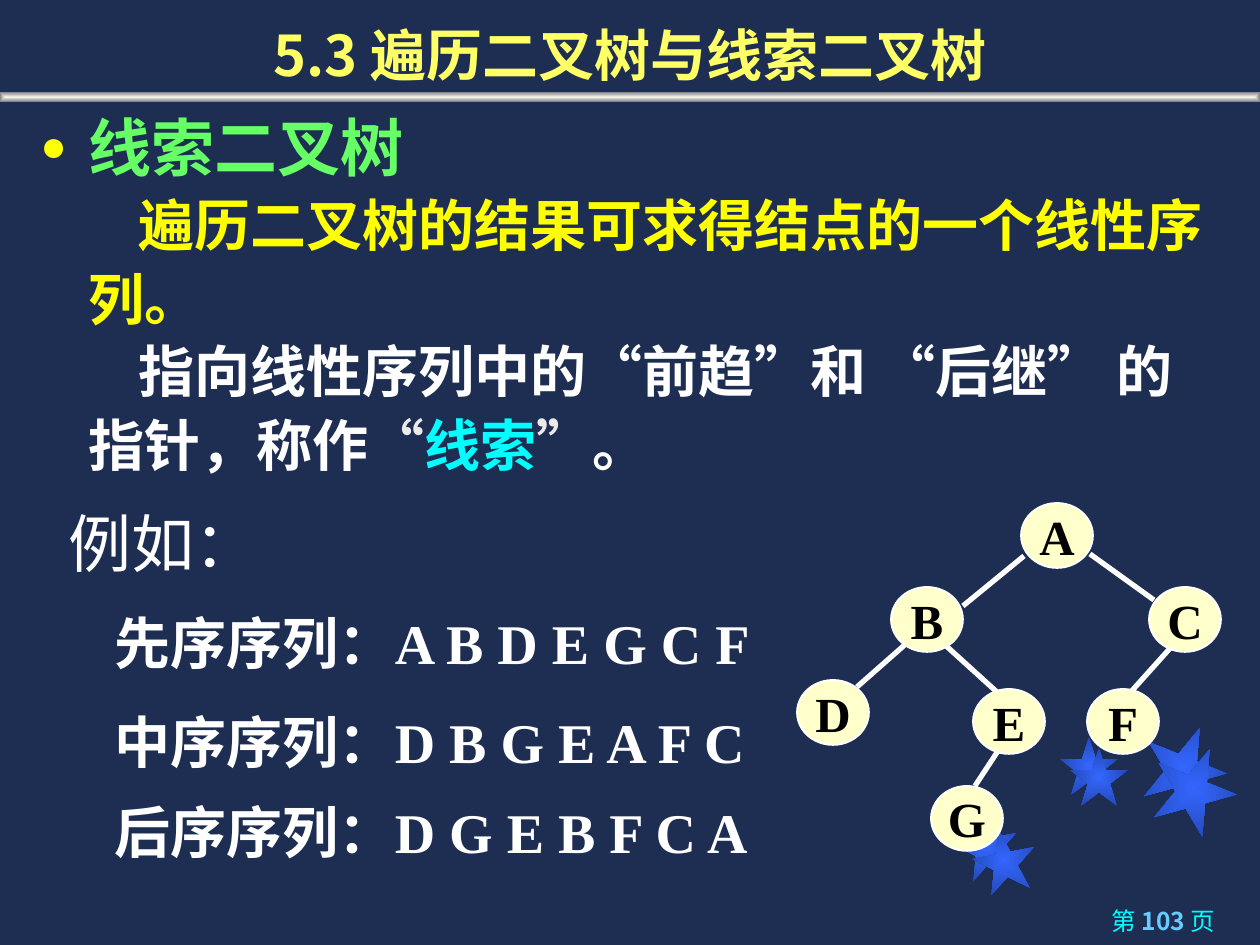
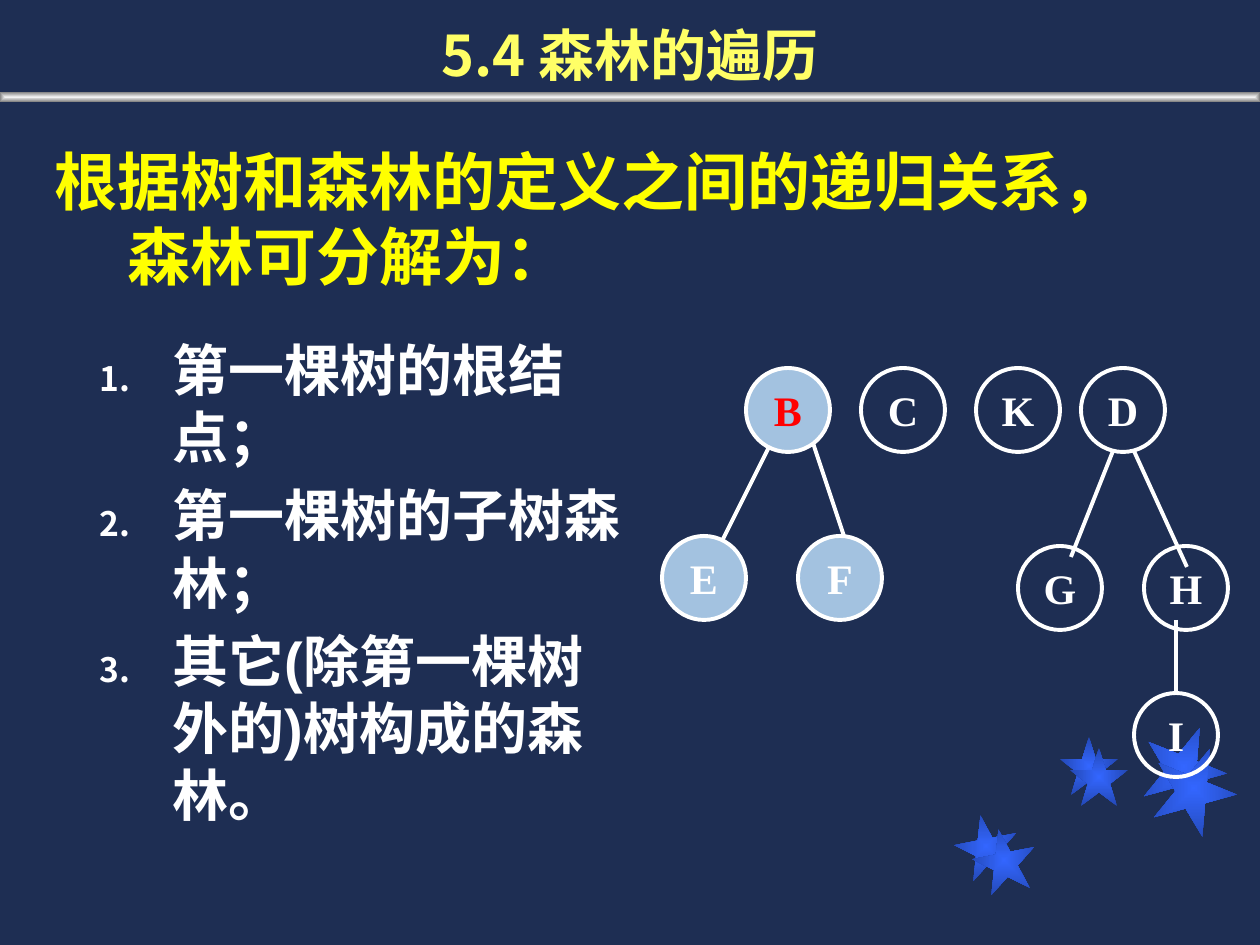
from lxml import etree
from pptx import Presentation
from pptx import util as u
from pptx.dml.color import RGBColor
from pptx.enum import shapes, text
from pptx.oxml import parse_xml
from pptx.oxml.ns import qn

SCALE = 914400 // 126
WIDTH, HEIGHT = 1260, 945
SANS, ARIAL, SERIF = "Noto Sans CJK SC", "Arial", "Times New Roman"
NAVY, WHITE, YELLOW, TITLE, CYAN = "1E2E53", "FFFFFF", "FFFF00", "FFFF66", "00FFFF"
GREEN, SKY, PALE, CREAM, STEEL = "66FF66", "66CCFF", "EAEAEA", "FFFFCC", "A3C2E0"
RED, BLACK = "FF0000", "000000"
STAR_FILL, BAND_FILL = ("3366FF", "2449B6"), ("F2F2F2", "808080")
NAMESPACE = "http://schemas.openxmlformats.org/drawingml/2006/main"

STARS = [(955, 815, 63, 349), (1060, 737, 58, 0), (1142, 725, 84, 22),
         (973, 829, 63, 349), (1070, 748, 58, 0), (1152, 746, 84, 22)]
BAND = (0, 92, WIDTH, 10)

HEADING = dict(size=36, font=ARIAL, color=GREEN, bold=True)
BODY = dict(size=32, font=ARIAL, color=WHITE, bold=True)
SEQUENCE = dict(size=32, font=SERIF, color=WHITE, bold=True)
PAGE = dict(size=14, font=SANS, color=CYAN, bold=False)
DOT = ("buChar", {"char": "●"}, YELLOW, 70000, ARIAL)
NUMBER = ("buAutoNum", {"type": "arabicPeriod"}, WHITE, 60000, SANS)

THREAD_BODY = [
    dict(spans=[("线索二叉树", HEADING)], left=48, indent=-48, spacing=1.1, bullet=DOT),
    dict(spans=[("遍历二叉树的结果可求得结点的一个线性序列。", BODY | {"color": YELLOW})],
         left=48, indent=50, spacing=1.1)]
THREAD_NOTE = [dict(left=48, indent=50, spacing=1.1, spans=[
    ("指向线性序列中的“前趋”和 “后继” 的指针，称作", BODY),
    ("“", BODY | {"color": PALE}), ("线索", BODY | {"color": CYAN}),
    ("”", BODY | {"color": PALE}), ("。", BODY)])]
EXAMPLE = [dict(spans=[("例如：", dict(size=36, font=SANS, color=WHITE, bold=False))])]
SEQUENCES = [(602, "先序序列：A B D E G C F"), (701, "中序序列：D B G E A F C"),
             (791, "后序序列：D G E B F C A")]
PAGE_NUMBER = [dict(align=text.PP_ALIGN.RIGHT, spans=[
    ("第 ", PAGE), ("103 ", PAGE | {"color": SKY, "bold": True}), ("页", PAGE)])]

FOREST_INTRO = [dict(left=73, indent=-73, spans=[
    ("根据树和森林的定义之间的递归关系，森林可分解为：",
     dict(size=36, font=SERIF, color=YELLOW, bold=True))])]
FOREST_PARTS = ["第一棵树的根结点；", "第一棵树的子树森林；", "其它(除第一棵树外的)树构成的森林。"]

BINARY_TREE = dict(
    size=(72, 65), line=1, edge=3, before=6, font=dict(size=28, font=SERIF, bold=True),
    nodes=[("A", 1021, 503, CREAM, BLACK), ("B", 891, 587, CREAM, BLACK),
           ("C", 1149, 587, CREAM, BLACK), ("D", 797, 680, CREAM, BLACK),
           ("E", 973, 689, CREAM, BLACK), ("F", 1087, 689, CREAM, BLACK),
           ("G", 931, 786, CREAM, BLACK)],
    edges=[(1024, 556, 963, 606), (1090, 554, 1154, 600), (944, 644, 998, 693),
           (1174, 644, 1130, 693), (907, 643, 857, 687), (998, 751, 975, 786)])
FOREST = dict(
    size=(84, 84), line=2.25, edge=2.25, before=3, font=dict(size=24, font=SERIF, bold=True),
    nodes=[("B", 746, 368, STEEL, RED), ("C", 861, 368, None, WHITE),
           ("K", 976, 368, None, WHITE), ("D", 1081, 368, None, WHITE),
           ("E", 662, 536, STEEL, WHITE), ("F", 798, 536, STEEL, WHITE),
           ("G", 1018, 546, None, WHITE), ("H", 1144, 546, None, WHITE),
           ("I", 1134, 693, None, WHITE)],
    edges=[(777, 431, 714, 557), (809, 431, 851, 557), (1113, 451, 1071, 557),
           (1134, 451, 1187, 567), (1176, 620, 1176, 693)])


def px(*values):
    return [u.Emu(round(value * SCALE)) for value in values]


def rgb(color):
    return RGBColor.from_string(color)


def apply(target, **values):
    for name, value in values.items():
        setattr(target, name, value)


def add_span(para, words, size, font, color, bold):
    span = para.add_run()
    span.text = words
    apply(span.font, size=u.Pt(size), name=font, bold=bold)
    span.font.color.rgb = rgb(color)
    east = etree.SubElement(span._r.get_or_add_rPr(), qn("a:ea"))
    east.set("typeface", SANS)


def add_bullet(properties, kind, values, color, percent, font):
    tint = etree.SubElement(properties, qn("a:buClr"))
    etree.SubElement(tint, qn("a:srgbClr")).set("val", color)
    etree.SubElement(properties, qn("a:buSzPct")).set("val", str(percent))
    etree.SubElement(properties, qn("a:buFont")).set("typeface", font)
    etree.SubElement(properties, qn("a:" + kind), values)


def add_text(page, place, paras, wrap=True, anchor=text.MSO_ANCHOR.TOP):
    frame = page.shapes.add_textbox(*px(*place)).text_frame
    apply(frame, word_wrap=wrap, vertical_anchor=anchor)
    for index, item in enumerate(paras):
        para = frame.add_paragraph() if index else frame.paragraphs[0]
        size = item["spans"][0][1]["size"]
        apply(para, alignment=item.get("align", text.PP_ALIGN.LEFT),
              line_spacing=u.Pt(round(size * 1.2 * item.get("spacing", 1), 1)),
              space_before=u.Pt(item.get("before", 0) if index else 0))
        properties = para._p.get_or_add_pPr()
        properties.set("hangingPunct", "0")
        for name, key in (("marL", "left"), ("indent", "indent")):
            properties.set(name, str(px(item.get(key, 0))[0]))
        if "bullet" in item:
            add_bullet(properties, *item["bullet"])
        for words, style in item["spans"]:
            add_span(para, words, **style)


def add_glow(page, kind, place, colors, rotation=0):
    shape = page.shapes.add_shape(kind, *px(*place))
    shape.shadow.inherit = False
    shape.rotation = rotation
    shape.line.fill.background()
    shape.fill.background()
    stops = "".join(f'<a:gs pos="{pos}"><a:srgbClr val="{color}"/></a:gs>'
                    for pos, color in zip((0, 100000), colors))
    properties = shape._element.spPr
    properties.replace(properties.find(qn("a:noFill")), parse_xml(
        f'<a:gradFill xmlns:a="{NAMESPACE}" rotWithShape="1"><a:gsLst>{stops}</a:gsLst>'
        '<a:path path="shape"><a:fillToRect l="50000" t="50000" r="50000" b="50000"/>'
        '</a:path></a:gradFill>'))


def add_page(deck, title):
    page = deck.slides.add_slide(deck.slide_layouts[6])
    page.background.fill.solid()
    page.background.fill.fore_color.rgb = rgb(NAVY)
    for left, top, size, rotation in STARS:
        add_glow(page, shapes.MSO_SHAPE.STAR_5_POINT, (left, top, size, size),
                 STAR_FILL, rotation)
    add_glow(page, shapes.MSO_SHAPE.RECTANGLE, BAND, BAND_FILL)
    style = dict(size=32, font=SANS, color=TITLE, bold=True)
    add_text(page, (0, 0, WIDTH, 94), [dict(spans=[(title, style)], align=text.PP_ALIGN.CENTER)],
             anchor=text.MSO_ANCHOR.BOTTOM)
    return page


def add_tree(page, tree):
    for edge in tree["edges"]:
        line = page.shapes.add_connector(shapes.MSO_CONNECTOR.STRAIGHT, *px(*edge))
        line.line.color.rgb = rgb(WHITE)
        line.line.width = u.Pt(tree["edge"])
        etree.SubElement(line._element.spPr, qn("a:effectLst"))
    for name, left, top, fill, color in tree["nodes"]:
        node = page.shapes.add_shape(shapes.MSO_SHAPE.OVAL, *px(left, top, *tree["size"]))
        node.shadow.inherit = False
        if fill:
            node.fill.solid()
            node.fill.fore_color.rgb = rgb(fill)
        else:
            node.fill.background()
        node.line.color.rgb = rgb(WHITE)
        node.line.width = u.Pt(tree["line"])
        apply(node.text_frame, word_wrap=False, vertical_anchor=text.MSO_ANCHOR.MIDDLE,
              margin_left=0, margin_right=0, margin_top=0, margin_bottom=0)
        para = node.text_frame.paragraphs[0]
        apply(para, alignment=text.PP_ALIGN.CENTER, space_before=u.Pt(tree["before"]))
        add_span(para, name, color=color, **tree["font"])


deck = Presentation()
deck.slide_width, deck.slide_height = px(WIDTH, HEIGHT)

threads = add_page(deck, "5.3 遍历二叉树与线索二叉树")
add_text(threads, (897, 900, 331, 45), PAGE_NUMBER)
add_text(threads, (28, 95, 1198, 255), THREAD_BODY)
add_text(threads, (28, 324, 1198, 174), THREAD_NOTE)
add_text(threads, (56, 498, 214, 88), EXAMPLE, wrap=False)
for top, words in SEQUENCES:
    add_text(threads, (63, top, 800, 79), [dict(spans=[(words, SEQUENCE)], indent=39)])
add_tree(threads, BINARY_TREE)

forest = add_page(deck, "5.4 森林的遍历")
add_text(forest, (24, 329, 620, 683), [
    dict(spans=[(words, BODY)], left=136, indent=-73, before=6.4, bullet=NUMBER)
    for words in FOREST_PARTS])
add_tree(forest, FOREST)
add_text(forest, (42, 136, 1152, 165), FOREST_INTRO)

deck.save("out.pptx")
